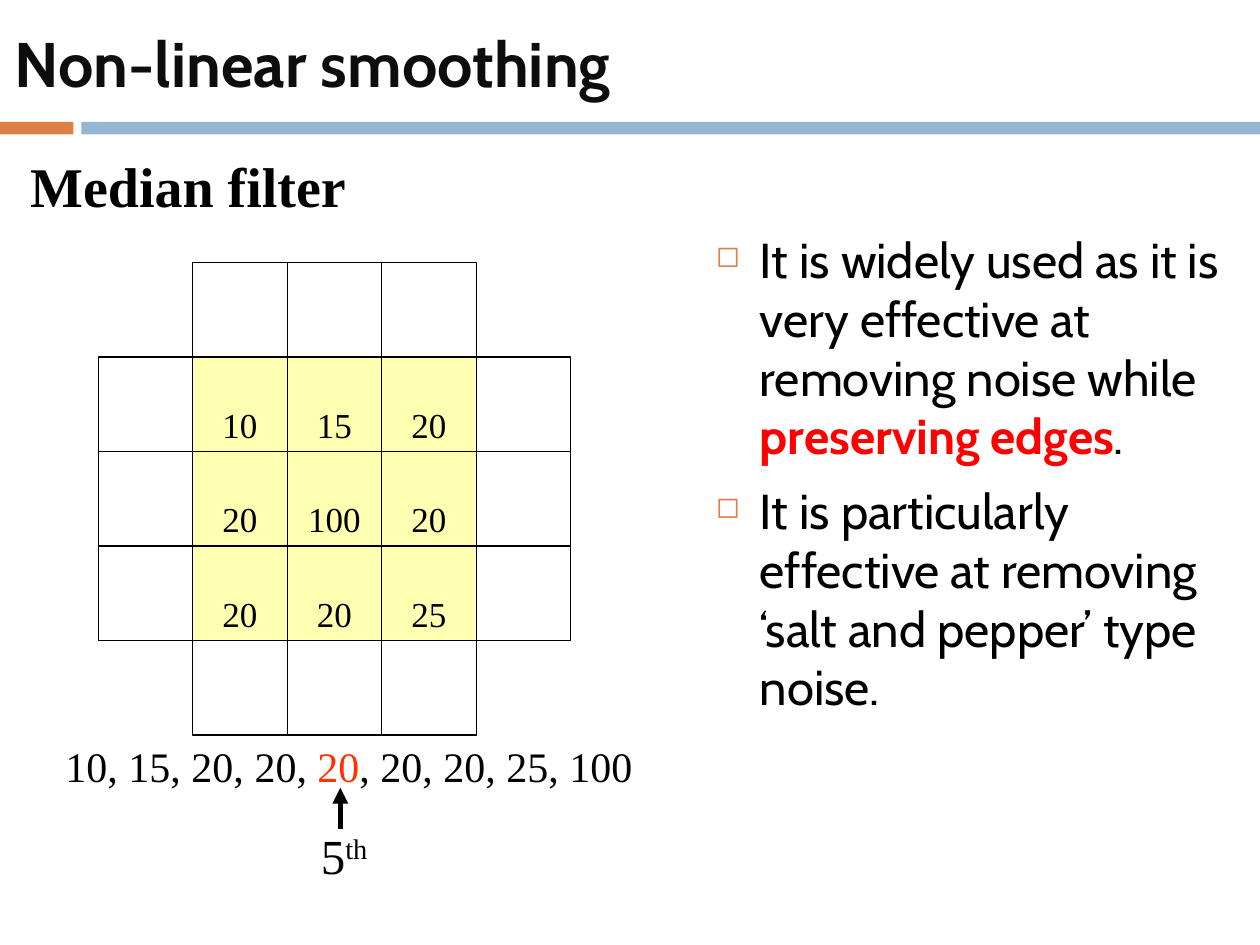
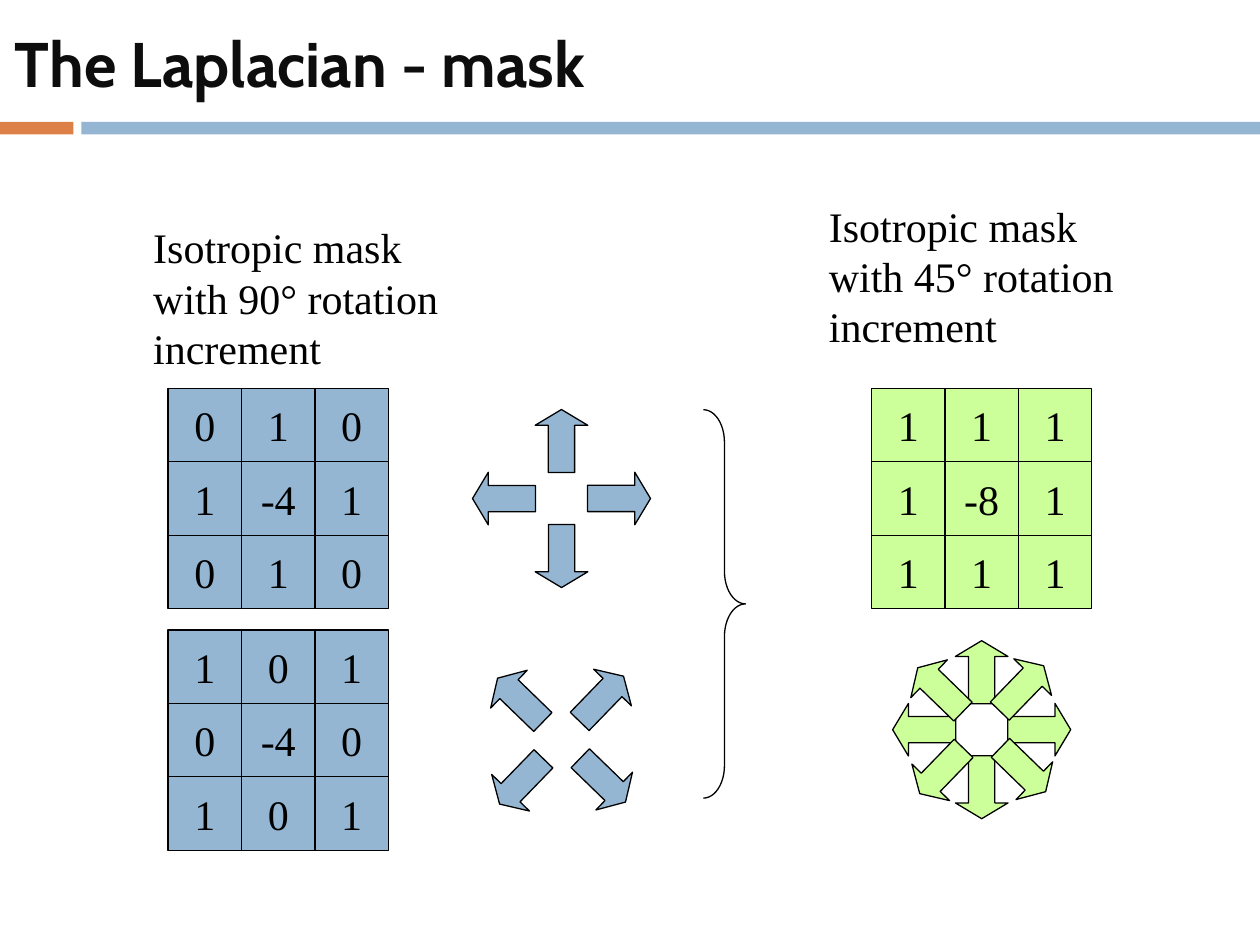
from dataclasses import dataclass
from math import cos, radians, sin

from lxml import etree
from pptx import Presentation
from pptx.dml.color import RGBColor
from pptx.enum.shapes import MSO_CONNECTOR, MSO_SHAPE
from pptx.enum.text import MSO_ANCHOR, PP_ALIGN
from pptx.oxml.ns import qn
from pptx.util import Cm, Pt

RECTANGLE = MSO_SHAPE.RECTANGLE
RIGHT_ARROW = MSO_SHAPE.RIGHT_ARROW
RIGHT_BRACE = MSO_SHAPE.RIGHT_BRACE
STRAIGHT = MSO_CONNECTOR.STRAIGHT
TOP, MIDDLE = MSO_ANCHOR.TOP, MSO_ANCHOR.MIDDLE
LEFT, CENTER = PP_ALIGN.LEFT, PP_ALIGN.CENTER


@dataclass(frozen=True)
class Theme:
    orange: str = "DD8047"
    blue: str = "94B6D2"
    green: str = "CCFF99"
    yellow: str = "FFFF66"
    black: str = "000000"
    title_ink: str = "0D0D0D"
    edge_red: str = "FF0000"
    median_red: str = "FF3300"
    sans: str = "Cabin"
    serif: str = "Times New Roman"
    title_size: int = 36
    heading_size: int = 32
    body_size: int = 28
    label_size: int = 24
    pixel_size: int = 20
    outline: float = 0.75
    arrow_line: float = 3


THEME = Theme()

BANDS = [(0, 1.48, THEME.orange), (1.64, 23.76, THEME.blue)]

MEDIAN_TITLE = "Non-linear smoothing"
MEDIAN_HEADING = "Median filter"
MEDIAN_POINTS = [
    [
        ("It is widely used as it is very effective at removing noise while ", {}),
        ("preserving edges", {"color": THEME.edge_red, "bold": True}),
        (".", {}),
    ],
    [("It is particularly effective at removing ‘salt and pepper’ type noise.", {})],
]
PIXELS = [
    [None, "", "", "", None],
    ["", "10", "15", "20", ""],
    ["", "20", "100", "20", ""],
    ["", "20", "20", "25", ""],
    [None, "", "", "", None],
]
SORTED_PIXELS = [
    ("10, 15, 20, 20, ", {}),
    ("20", {"color": THEME.median_red}),
    (", 20, 20, 25, 100", {}),
]
MEDIAN_RANK = [("5", {}), ("th", {"baseline": 30000})]

LAPLACIAN_TITLE = "The Laplacian - mask"
MASK_LABELS = [
    ("Isotropic mask with 90° rotation increment", 2.84, 4.35),
    ("Isotropic mask with 45° rotation increment", 16.46, 3.91),
]
MASKS = [
    ([["0", "1", "0"], ["1", "-4", "1"], ["0", "1", "0"]], 3.39, 7.83, THEME.blue),
    ([["1", "0", "1"], ["0", "-4", "0"], ["1", "0", "1"]], 3.39, 12.7, THEME.blue),
    ([["1", "1", "1"], ["1", "-8", "1"], ["1", "1", "1"]], 17.57, 7.83, THEME.green),
]
AXES = [0, 180, 90, 270]
DIAGONALS = [44.1, 224.1, 134.1, 314.1]
ARROW_RINGS = [
    (AXES, 11.32, 10.05, THEME.blue),
    (DIAGONALS, 11.32, 14.92, THEME.blue),
    (AXES + DIAGONALS, 19.79, 14.71, THEME.green),
]

PIXEL_CELL = 1.905
MASK_CELL = 1.48
ARROW_WIDTH, ARROW_HEIGHT, RING_RADIUS = 1.27, 1.06, 1.16


def rgb(color):
    return RGBColor.from_string(color)


def style_font(font, name, size, color, bold=False):
    font.name = name
    font.size = Pt(size)
    font.color.rgb = rgb(color)
    font.bold = bold


def add_runs(paragraph, runs):
    for text, changes in runs:
        run = paragraph.add_run()
        run.text = text
        if "color" in changes:
            run.font.color.rgb = rgb(changes["color"])
        if "bold" in changes:
            run.font.bold = changes["bold"]
        if "baseline" in changes:
            run._r.get_or_add_rPr().set("baseline", str(changes["baseline"]))


def add_bullet(paragraph):
    properties = paragraph._p.get_or_add_pPr()
    properties.set("marL", str(Cm(0.89)))
    properties.set("indent", str(Cm(-0.89)))
    color = etree.SubElement(properties, qn("a:buClr"))
    etree.SubElement(color, qn("a:srgbClr"), val=THEME.orange)
    etree.SubElement(properties, qn("a:buSzPct"), val="60000")
    etree.SubElement(properties, qn("a:buChar"), char="◻")


def add_text(slide, box, paragraphs, font, anchor=TOP, wrap=True, bullets=False):
    frame = slide.shapes.add_textbox(*map(Cm, box)).text_frame
    frame.word_wrap = wrap
    frame.vertical_anchor = anchor
    for index, runs in enumerate(paragraphs):
        paragraph = frame.add_paragraph() if index else frame.paragraphs[0]
        paragraph.alignment = LEFT
        if index:
            paragraph.space_before = Pt(9)
        if bullets:
            add_bullet(paragraph)
        style_font(paragraph.font, *font)
        add_runs(paragraph, runs)


def add_shape(slide, kind, box, fill=None, outlined=True):
    shape = slide.shapes.add_shape(kind, *map(Cm, box))
    shape.shadow.inherit = False
    if fill:
        shape.fill.solid()
        shape.fill.fore_color.rgb = rgb(fill)
    else:
        shape.fill.background()
    if outlined:
        shape.line.color.rgb = rgb(THEME.black)
        shape.line.width = Pt(THEME.outline)
    else:
        shape.line.fill.background()
    return shape


def make_half_transparent(shape):
    color = shape._element.spPr.find(qn("a:solidFill")).find(qn("a:srgbClr"))
    etree.SubElement(color, qn("a:alpha"), val="50000")


def add_cell(slide, box, text, fill, size):
    cell = add_shape(slide, RECTANGLE, box, fill)
    if text:
        frame = cell.text_frame
        frame.word_wrap = False
        frame.vertical_anchor = MIDDLE
        paragraph = frame.paragraphs[0]
        paragraph.alignment = CENTER
        style_font(paragraph.font, THEME.serif, size, THEME.black)
        add_runs(paragraph, [(text, {})])
    return cell


def add_grid(slide, rows, left, top, side, fill, size):
    cells = []
    for row, values in enumerate(rows):
        for column, value in enumerate(values):
            if value is not None:
                box = (left + column * side, top + row * side, side, side)
                cells.append(add_cell(slide, box, value, fill if value else None, size))
    return cells


def add_arrow_ring(slide, angles, center_x, center_y, fill):
    for angle in angles:
        x = center_x + RING_RADIUS * cos(radians(angle)) - ARROW_WIDTH / 2
        y = center_y + RING_RADIUS * sin(radians(angle)) - ARROW_HEIGHT / 2
        arrow = add_shape(slide, RIGHT_ARROW, (x, y, ARROW_WIDTH, ARROW_HEIGHT), fill)
        arrow.adjustments[0] = 0.5
        arrow.adjustments[1] = 0.3
        arrow.rotation = angle


def add_pointer(slide, x, start, end):
    pointer = slide.shapes.add_connector(STRAIGHT, Cm(x), Cm(start), Cm(x), Cm(end))
    pointer.line.color.rgb = rgb(THEME.black)
    pointer.line.width = Pt(THEME.arrow_line)
    etree.SubElement(pointer.line._get_or_add_ln(), qn("a:tailEnd"), type="triangle")
    etree.SubElement(pointer._element.spPr, qn("a:effectLst"))


def add_titled_slide(presentation, title):
    slide = presentation.slides.add_slide(presentation.slide_layouts[6])
    for left, width, color in BANDS:
        add_shape(slide, RECTANGLE, (left, 2.46, width, 0.25), color, outlined=False)
    font = (THEME.sans, THEME.title_size, THEME.title_ink, True)
    add_text(slide, (0.05, -0.03, 25.35, 2.57), [[(title, {})]], font, MIDDLE)
    return slide


def build_median_slide(presentation):
    slide = add_titled_slide(presentation, MEDIAN_TITLE)
    body = (THEME.sans, THEME.body_size, THEME.black)
    add_text(slide, (14.18, 4.5, 11.22, 11.43), MEDIAN_POINTS, body, bullets=True)
    cells = add_grid(slide, PIXELS, 1.98, 5.29, PIXEL_CELL, THEME.yellow, THEME.pixel_size)
    for cell in cells:
        if cell.text_frame.text:
            make_half_transparent(cell)
            cell.text_frame.margin_top = Cm(0.94)
    serif_texts = [
        ((1.07, 14.81, 11.94, 1.27), SORTED_PIXELS, THEME.label_size, False),
        ((6.22, 16.51, 1.52, 1.45), MEDIAN_RANK, THEME.body_size, False),
        ((0.36, 2.92, 6.93, 1.63), [(MEDIAN_HEADING, {})], THEME.heading_size, True),
    ]
    for box, runs, size, bold in serif_texts:
        add_text(slide, box, [runs], (THEME.serif, size, THEME.black, bold), wrap=False)
    add_pointer(slide, 6.86, 16.72, 15.88)


def build_laplacian_slide(presentation):
    slide = add_titled_slide(presentation, LAPLACIAN_TITLE)
    for rows, left, top, fill in MASKS:
        add_grid(slide, rows, left, top, MASK_CELL, fill, THEME.label_size)
    for ring in ARROW_RINGS:
        add_arrow_ring(slide, *ring)
    brace = add_shape(slide, RIGHT_BRACE, (14.18, 8.26, 0.85, 7.83))
    brace.adjustments[0] = 0.77
    label = (THEME.serif, THEME.label_size, THEME.black)
    for text, left, top in MASK_LABELS:
        add_text(slide, (left, top, 6.65, 3.33), [[(text, {})]], label)


def main():
    presentation = Presentation()
    presentation.slide_width = Cm(25.4)
    presentation.slide_height = Cm(19.05)
    build_median_slide(presentation)
    build_laplacian_slide(presentation)
    presentation.save("out.pptx")


if __name__ == "__main__":
    main()
